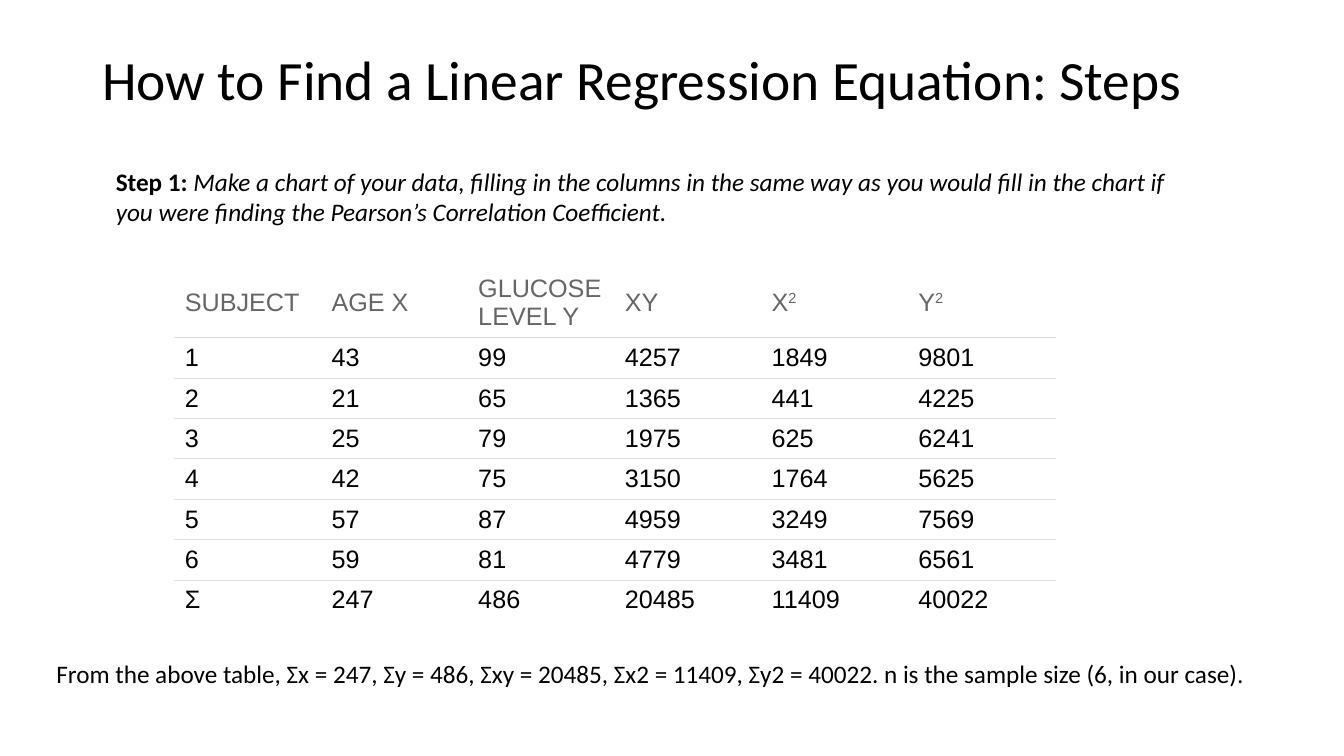
from dataclasses import dataclass

from pptx import Presentation
from pptx.dml.color import RGBColor
from pptx.enum.text import MSO_ANCHOR, MSO_AUTO_SIZE
from pptx.oxml import parse_xml
from pptx.oxml.ns import nsdecls
from pptx.util import Pt


@dataclass(frozen=True)
class Theme:
    ink: str = "000000"
    heading: str = "666666"
    rule: str = "DDDDDD"
    paper: str = "FFFFFF"
    prose_font: str = "Calibri"
    table_font: str = "Arial"
    title_size: float = 39.6
    body_size: float = 18
    rule_width: float = 0.6


class SlideBuilder:
    def __init__(self, page, theme):
        self.page = page
        self.theme = theme

    def add_span(self, para, text, size, font, color, bold=False, italic=False, raised=False):
        span = para.add_run()
        span.text = text
        span.font.size = Pt(size)
        span.font.name = font
        span.font.bold = bold
        span.font.italic = italic
        span.font.color.rgb = RGBColor.from_string(color)
        if raised:
            span._r.get_or_add_rPr().set("baseline", "30000")

    def text_box(self, left, top, width, height, wrap=True, grow=True):
        box = self.page.shapes.add_textbox(Pt(left), Pt(top), Pt(width), Pt(height))
        frame = box.text_frame
        frame.word_wrap = wrap
        frame.auto_size = MSO_AUTO_SIZE.SHAPE_TO_FIT_TEXT if grow else MSO_AUTO_SIZE.NONE
        return frame

    def title(self, text, left, top, width, height):
        frame = self.text_box(left, top, width, height, grow=False)
        frame.margin_top = Pt(8.5)
        para = frame.paragraphs[0]
        para.line_spacing = 0.9
        self.add_span(para, text, self.theme.title_size, self.theme.prose_font, self.theme.ink)

    def prose(self, spans, left, top, width, height, wrap=True):
        para = self.text_box(left, top, width, height, wrap).paragraphs[0]
        for text, bold, italic in spans:
            self.add_span(para, text, self.theme.body_size, self.theme.prose_font,
                          self.theme.ink, bold, italic)

    def rule_cell(self, cell, sides):
        properties = cell._tc.get_or_add_tcPr()
        for position, side in enumerate(sides):
            properties.insert(position, parse_xml(
                f'<a:ln{side} {nsdecls("a")} w="{Pt(self.theme.rule_width)}"><a:solidFill>'
                f'<a:srgbClr val="{self.theme.rule}"/></a:solidFill></a:ln{side}>'))

    def table(self, headings, records, left, top, width, heading_height, row_height):
        rows = [headings] + [[(value,) for value in record] for record in records]
        height = heading_height + row_height * len(records)
        table = self.page.shapes.add_table(
            len(rows), len(headings), Pt(left), Pt(top), Pt(width), Pt(height)).table
        table.first_row = False
        table.horz_banding = False
        for column in table.columns:
            column.width = Pt(width / len(headings))
        for row_index, row in enumerate(rows):
            is_heading = row_index == 0
            is_last = row_index == len(rows) - 1
            table.rows[row_index].height = Pt(heading_height if is_heading else row_height)
            color = self.theme.heading if is_heading else self.theme.ink
            sides = ("" if is_heading else "T") + ("" if is_last else "B")
            for column_index, parts in enumerate(row):
                cell = table.cell(row_index, column_index)
                cell.vertical_anchor = MSO_ANCHOR.MIDDLE
                cell.fill.solid()
                cell.fill.fore_color.rgb = RGBColor.from_string(self.theme.paper)
                if not is_heading:
                    cell.margin_right = Pt(5.76)
                self.rule_cell(cell, sides)
                para = cell.text_frame.paragraphs[0]
                for part_index, part in enumerate(parts):
                    self.add_span(para, part, self.theme.body_size, self.theme.table_font,
                                  color, raised=part_index > 0)


HEADINGS = [("SUBJECT",), ("AGE X",), ("GLUCOSE LEVEL Y",), ("XY",), ("X", "2"), ("Y", "2")]
RECORDS = [
    ("1", "43", "99", "4257", "1849", "9801"),
    ("2", "21", "65", "1365", "441", "4225"),
    ("3", "25", "79", "1975", "625", "6241"),
    ("4", "42", "75", "3150", "1764", "5625"),
    ("5", "57", "87", "4959", "3249", "7569"),
    ("6", "59", "81", "4779", "3481", "6561"),
    ("Σ", "247", "486", "20485", "11409", "40022"),
]
STEP = [
    ("Step 1: ", True, False),
    ("Make a chart of your data, filling in the columns in the same way as you would fill in "
     "the chart if you were finding the Pearson’s Correlation Coefficient.", False, True),
]
SUMMARY = [
    ("From the above table, Σx = 247, Σy = 486, Σxy = 20485, Σx2 = 11409, Σy2 = 40022. "
     "n is the sample size (6, in our case).", False, False),
]


def main():
    deck = Presentation()
    deck.slide_width = Pt(960)
    deck.slide_height = Pt(540)
    page = deck.slides.add_slide(deck.slide_layouts[6])
    builder = SlideBuilder(page, Theme())
    builder.title("How to Find a Linear Regression Equation: Steps", 66, 28.75, 828, 104.4)
    builder.prose(STEP, 75.6, 115.2, 766.8, 51)
    builder.table(HEADINGS, RECORDS, 124.8, 190.8, 628.8, 50.4, 28.8)
    builder.prose(SUMMARY, 33.2, 466.6, 874, 29, wrap=False)
    deck.save("out.pptx")


if __name__ == "__main__":
    main()
